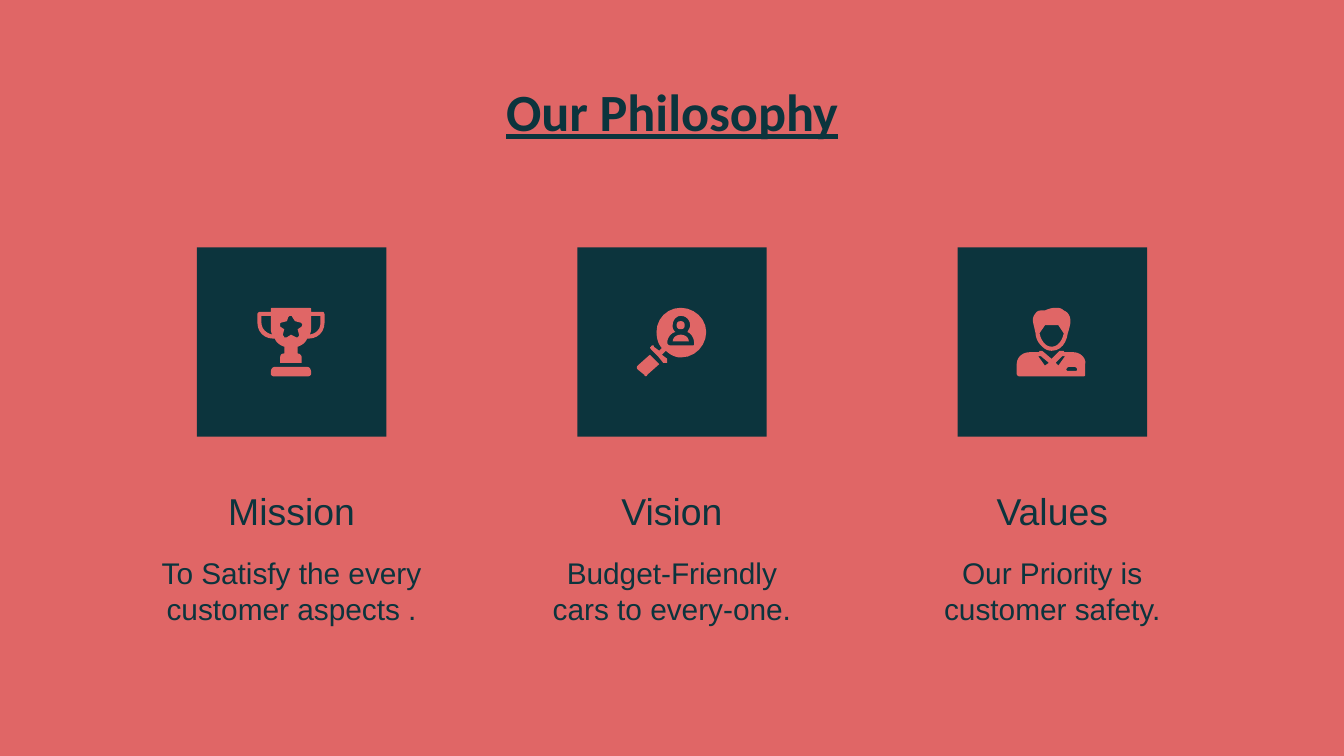
import pptx
import pptx.util
import pptx.dml.color
import pptx.enum.shapes
import pptx.enum.text

Pt = pptx.util.Pt
Align = pptx.enum.text.PP_ALIGN
Anchor = pptx.enum.text.MSO_ANCHOR

TITLE = "Our Philosophy"

TROPHY = [
    "M 13 44 C 11 44 10 46 10 48 L 10 49 C 10 50 11 51 12 51 L 38 51 "
    "C 39 51 40 50 40 49 L 40 48 C 40 46 39 44 37 44 Z",
    "M 47 6 L 47 11 C 47 16 44 19 39 20 C 40 18 40 16 40 15 L 40 6 Z "
    "M 10 6 L 10 15 C 10 16 10 18 11 20 C 7 19 3 16 3 11 L 3 6 Z "
    "M 25 6 C 25 6 26 6 26 7 L 28 10 L 32 11 C 32 11 33 11 33 12 "
    "C 34 13 33 13 33 14 L 30 16 L 31 20 C 31 21 31 21 30 22 L 29 22 "
    "L 25 20 L 22 22 L 20 22 C 20 21 19 21 19 20 L 20 16 L 17 14 "
    "C 17 13 17 13 17 12 C 17 11 18 11 18 11 L 22 10 L 23 7 C 24 6 24 6 25 6 Z "
    "M 12 0 C 11 0 10 0 10 1 L 10 3 L 2 3 C 1 3 0 4 0 5 L 0 11 "
    "C 0 18 5 23 12 23 L 13 23 C 14 26 17 28 20 29 L 20 34 "
    "C 18 34 17 35 17 37 L 17 41 L 33 41 L 33 37 C 33 36 32 34 30 34 "
    "L 30 29 C 33 28 36 26 37 23 L 38 23 C 45 23 50 18 50 11 L 50 5 "
    "C 50 4 49 3 49 3 L 40 3 L 40 1 C 40 0 39 0 38 0 Z",
]
LENS = [
    "M 32 10 C 30 10 29 11 29 13 C 29 15 30 16 32 16 "
    "C 34 16 35 15 35 13 C 35 11 34 10 32 10 Z",
    "M 32 20 C 29 20 26 22 26 25 L 38 25 C 38 22 35 20 32 20 Z",
    "M 32 6 C 36 6 39 9 39 13 C 39 15 38 16 37 18 C 40 19 42 23 42 26 "
    "C 42 28 42 28 41 28 L 24 28 C 23 28 22 27 22 26 C 22 23 24 19 28 18 "
    "C 26 16 26 15 26 13 C 26 9 29 6 32 6 Z "
    "M 32 0 C 22 0 14 8 14 18 C 14 22 15 27 18 30 L 16 32 L 12 29 "
    "C 12 28 12 28 11 28 C 11 28 10 28 10 29 C 9 29 9 30 10 31 L 15 36 "
    "L 19 41 C 20 41 20 41 21 41 L 22 41 C 22 40 22 39 22 38 L 18 35 L 21 32 "
    "C 24 35 28 37 32 37 C 43 37 51 28 51 18 C 51 8 42 0 32 0 Z",
    "M 9 35 L 0 43 C -1 44 -1 45 0 46 L 5 50 C 5 51 6 51 6 51 "
    "C 6 51 7 51 7 50 L 16 42 Z",
]
PERSON = [
    "M 29 13 L 30 13 L 34 19 C 33 24 30 29 25 29 C 20 29 17 24 16 19 "
    "L 20 13 Z "
    "M 28 0 C 25 0 22 1 20 2 L 18 2 C 17 2 15 2 14 3 C 13 4 11 6 11 9 "
    "C 11 11 12 14 13 19 C 13 19 13 24 17 28 C 20 31 22 32 25 32 "
    "C 32 32 36 26 37 19 C 38 16 39 12 39 10 C 39 6 37 3 34 2 "
    "C 32 0 30 0 28 0 Z",
    "M 17 36 L 23 41 L 20 43 L 15 36 Z "
    "M 33 36 L 35 36 L 30 43 L 28 41 Z "
    "M 42 44 C 43 44 44 45 44 46 C 44 47 43 47 42 47 L 38 47 "
    "C 37 47 36 47 36 46 C 36 45 37 44 38 44 Z "
    "M 17 32 L 16 32 C 16 33 15 33 15 33 L 9 33 C 3 33 -1 37 -1 42 "
    "L -1 49 C -1 50 0 51 1 51 L 49 51 C 50 51 50 50 50 49 L 50 42 "
    "C 51 38 47 33 41 33 L 35 33 C 35 33 34 33 34 32 L 31 32 L 25 38 "
    "L 18 32 Z",
]

CARDS = [
    ("Mission", "To Satisfy the every customer aspects .", TROPHY),
    ("Vision", "Budget-Friendly cars to every-one.", LENS),
    ("Values", "Our Priority is customer safety.", PERSON),
]

THEME = {
    "dark": pptx.dml.color.RGBColor.from_string("0C343D"),
    "coral": pptx.dml.color.RGBColor.from_string("E06666"),
    "title": ("Calibri", 28),
    "head": ("Arial", 20),
    "body": ("Arial", 16),
}

WIDE, HIGH = 720, 405
PITCH = 203.75
TILE, TILE_TOP = 101.5, 132.5
TEXT_WIDE = 155.5
INSET = 32.4
UNIT = 0.72
STEPS = 6


def write(box, text, role, anchor=Anchor.TOP):
    frame = box.text_frame
    frame.text = text
    frame.word_wrap = True
    frame.auto_size = pptx.enum.text.MSO_AUTO_SIZE.NONE
    frame.vertical_anchor = anchor
    frame.margin_left = frame.margin_right = Pt(7.2)
    frame.margin_top = frame.margin_bottom = Pt(7.2)
    line = frame.paragraphs[0]
    line.alignment = Align.CENTER
    font = line.runs[0].font
    font.name, size = THEME[role]
    font.size = Pt(size)
    font.color.rgb = THEME["dark"]
    return font


def paint(shape, color):
    shape.fill.solid()
    shape.fill.fore_color.rgb = THEME[color]
    shape.line.fill.background()
    shape.shadow.inherit = False


def curve(start, points):
    ends = [start, *points]
    for step in range(1, STEPS + 1):
        t = step / STEPS
        parts = ((1 - t) ** 3, 3 * t * (1 - t) ** 2, 3 * t * t * (1 - t), t ** 3)
        yield tuple(sum(k * p[axis] for k, p in zip(parts, ends)) for axis in (0, 1))


def trace(path):
    loops = []
    for loop in path.split("Z")[:-1]:
        words = loop.split()
        points = []
        while words:
            kind = words.pop(0)
            count = 3 if kind == "C" else 1
            pairs = [(int(words.pop(0)), int(words.pop(0))) for _ in range(count)]
            points += curve(points[-1], pairs) if kind == "C" else pairs
        loops.append(points)
    return loops


def draw(shapes, path, left, top):
    maker = None
    for loop in trace(path):
        spots = [(Pt(left + x * UNIT), Pt(top + y * UNIT)) for x, y in loop]
        if maker is None:
            maker = shapes.build_freeform(*spots[0])
        else:
            maker.move_to(*spots[0])
        maker.add_line_segments(spots[1:], close=True)
    paint(maker.convert_to_shape(), "coral")


def main():
    deck = pptx.Presentation()
    deck.slide_width, deck.slide_height = Pt(WIDE), Pt(HIGH)
    slide = deck.slides.add_slide(deck.slide_layouts[5])
    slide.background.fill.solid()
    slide.background.fill.fore_color.rgb = THEME["coral"]
    shapes = slide.shapes

    title = shapes.title
    title.left, title.top = Pt(24.5), Pt(35.3)
    title.width, title.height = Pt(671), Pt(45.4)
    font = write(title, TITLE, "title")
    font.bold = font.underline = True

    for index, (head, body, icon) in enumerate(CARDS):
        middle = WIDE / 2 + (index - 1) * PITCH
        left = middle - TEXT_WIDE / 2
        box = shapes.add_textbox(Pt(left), Pt(252), Pt(TEXT_WIDE), Pt(41))
        write(box, head, "head", Anchor.BOTTOM)
        box = shapes.add_textbox(Pt(left), Pt(290.2), Pt(TEXT_WIDE), Pt(71.3))
        write(box, body, "body")

        edge = middle - TILE / 2
        tile = shapes.add_shape(
            pptx.enum.shapes.MSO_SHAPE.RECTANGLE,
            Pt(edge), Pt(TILE_TOP), Pt(TILE), Pt(TILE))
        paint(tile, "dark")
        for path in icon:
            draw(shapes, path, edge + INSET, TILE_TOP + INSET)

    deck.save("out.pptx")


if __name__ == "__main__":
    main()
